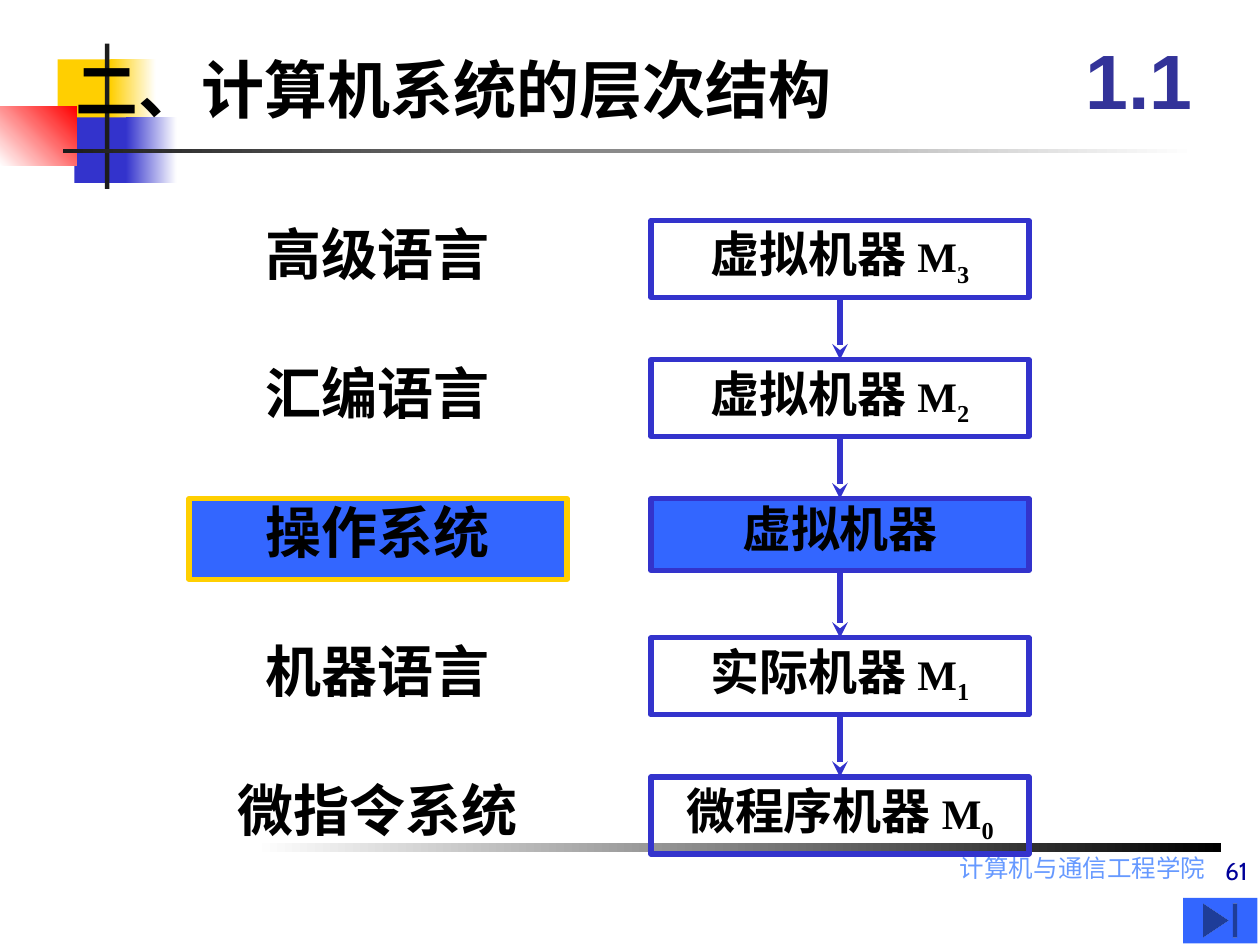
from lxml.etree import SubElement
from pptx import Presentation
from pptx.dml.color import RGBColor
from pptx.enum.shapes import MSO_CONNECTOR, MSO_SHAPE
from pptx.enum.text import MSO_ANCHOR, MSO_AUTO_SIZE, PP_ALIGN
from pptx.oxml.ns import qn
from pptx.util import Pt

BLACK = RGBColor(0x00, 0x00, 0x00)
WHITE = RGBColor(0xFF, 0xFF, 0xFF)
CHARCOAL = RGBColor(0x1C, 0x1C, 0x1C)
YELLOW = RGBColor(0xFF, 0xCF, 0x01)
RED = RGBColor(0xFF, 0x00, 0x00)
INDIGO = RGBColor(0x33, 0x33, 0xCC)
BLUE = RGBColor(0x33, 0x66, 0xFF)
SKY = RGBColor(0x66, 0x99, 0xFF)
NAVY = RGBColor(0x00, 0x00, 0x99)
VIOLET = RGBColor(0x33, 0x33, 0x99)
HAN, SERIF = "Noto Sans CJK SC", "Times New Roman"

# Language, machine, machine index, highlighted
LEVELS = [
    ("高级语言", "虚拟机器", "3", False),
    ("汇编语言", "虚拟机器", "2", False),
    ("操作系统", "虚拟机器", "", True),
    ("机器语言", "实际机器", "1", False),
    ("微指令系统", "微程序机器", "0", False),
]


def add_text(box, text, size=28, font=HAN, color=BLACK, bold=True,
             align=PP_ALIGN.CENTER, anchor=MSO_ANCHOR.TOP, spacing=0.9, subscript=False):
    """Add a span of text to the first paragraph of a box."""
    frame = box.text_frame
    frame.word_wrap = True
    frame.auto_size = MSO_AUTO_SIZE.NONE
    frame.vertical_anchor = anchor
    para = frame.paragraphs[0]
    para.alignment = align
    para.line_spacing = spacing
    para.space_before = Pt(0)
    span = para.add_run()
    span.text = text
    span.font.size = Pt(size)
    span.font.bold = bold
    span.font.color.rgb = color
    span.font.name = font
    properties = span.font._element
    SubElement(properties, qn("a:ea")).set("typeface", HAN)
    if subscript:
        properties.set("baseline", "-25000")


def add_block(page, left, top, width, height, fill=None, fade=None, angle=0,
              line=None, kind=MSO_SHAPE.RECTANGLE):
    """Add a preset shape; fade is the second colour of a gradient."""
    block = page.shapes.add_shape(kind, Pt(left), Pt(top), Pt(width), Pt(height))
    block.shadow.inherit = False
    if fade is not None:
        block.fill.gradient()
        block.fill.gradient_angle = angle
        for stop, color in zip(block.fill.gradient_stops, (fill, fade)):
            stop.color.rgb = color
    elif fill is not None:
        block.fill.solid()
        block.fill.fore_color.rgb = fill
    else:
        block.fill.background()
    if line is not None:
        block.line.color.rgb = line
        block.line.width = Pt(3)
    else:
        block.line.fill.background()
    return block


def add_box(page, left, top, width, height):
    return page.shapes.add_textbox(Pt(left), Pt(top), Pt(width), Pt(height))


def add_arrow(page, x, top, bottom):
    arrow = page.shapes.add_connector(MSO_CONNECTOR.STRAIGHT, Pt(x), Pt(top), Pt(x), Pt(bottom))
    arrow.line.color.rgb = INDIGO
    arrow.line.width = Pt(3)
    SubElement(arrow.line._get_or_add_ln(), qn("a:tailEnd")).set("type", "stealth")
    SubElement(arrow._element.spPr, qn("a:effectLst"))


def draw_header(page, left, top, width):
    # Overlapping colour squares and rules
    add_block(page, left + 33, top + 34, 35, 37, YELLOW)
    add_block(page, left + 63, top + 34, 26, 37, YELLOW, fade=WHITE)
    add_block(page, left + 42.5, top + 67, 33, 37.5, INDIGO)
    add_block(page, left + 72, top + 67, 29, 37.5, INDIGO, fade=WHITE)
    add_block(page, left, top + 61, 44, 33.5, WHITE, fade=RED, angle=45)
    add_block(page, left + 60, top + 25, 2.5, 83, CHARCOAL)
    add_block(page, left + 36, top + 85, width - 72, 2.5, CHARCOAL, fade=WHITE)

    # Title, brought in front of the squares
    title = page.shapes.title
    title.left, title.top = Pt(left + 36), Pt(top + 30)
    title.width, title.height = Pt(612), Pt(72)
    add_text(title, "二、计算机系统的层次结构", size=36, font=SERIF, align=PP_ALIGN.LEFT)
    page.shapes._spTree.append(title._element)

    # Section number
    section = add_box(page, left + width - 114, top + 12, 90, 66)
    add_text(section, "1.1", size=44, font="Arial", color=VIOLET,
             anchor=MSO_ANCHOR.MIDDLE, spacing=1.0)


def draw_footer(page, left, top, width):
    add_block(page, left + 145.5, top, width - 168, 5.5, WHITE, fade=BLACK)
    school = add_box(page, left + 282, top + 4.5, 414, 19)
    add_text(school, "计算机与通信工程学院", size=14, font=SERIF, color=SKY,
             bold=False, align=PP_ALIGN.RIGHT)
    number = add_box(page, left + 376, top - 8, 344, 36)
    add_text(number, "61", size=14, font="Cabin", color=NAVY, bold=False,
             align=PP_ALIGN.RIGHT, anchor=MSO_ANCHOR.BOTTOM, spacing=1.0)
    add_block(page, left + width - 44, top + 31.5, 42.5, 26, BLUE,
              kind=MSO_SHAPE.ACTION_BUTTON_END)


def draw_levels(page, left, top, pitch=79.5, width=216, offset=264):
    for index, (language, machine, number, highlighted) in enumerate(LEVELS):
        y = top + index * pitch
        height = 41 if highlighted else 44
        fill = BLUE if highlighted else None

        # Language on the left
        label = add_block(page, left, y, width, 46, fill, line=YELLOW if highlighted else None)
        add_text(label, language, size=32)

        # Arrow to the next machine
        if index < len(LEVELS) - 1:
            add_arrow(page, left + offset + width / 2, y + height, y + pitch)

        # Machine on the right
        frame = add_block(page, left + offset, y, width, height, fill, line=INDIGO)
        add_text(frame, machine + " " if number else machine)
        if number:
            add_text(frame, "M", size=24, font=SERIF)
            add_text(frame, number, size=24, font=SERIF, subscript=True)


def main():
    deck = Presentation()
    deck.slide_width, deck.slide_height = Pt(720), Pt(540)
    page = deck.slides.add_slide(deck.slide_layouts[5])
    draw_header(page, 0, 0, 720)
    draw_footer(page, 0, 481.5, 720)
    draw_levels(page, 108, 126)
    deck.save("out.pptx")


if __name__ == "__main__":
    main()
